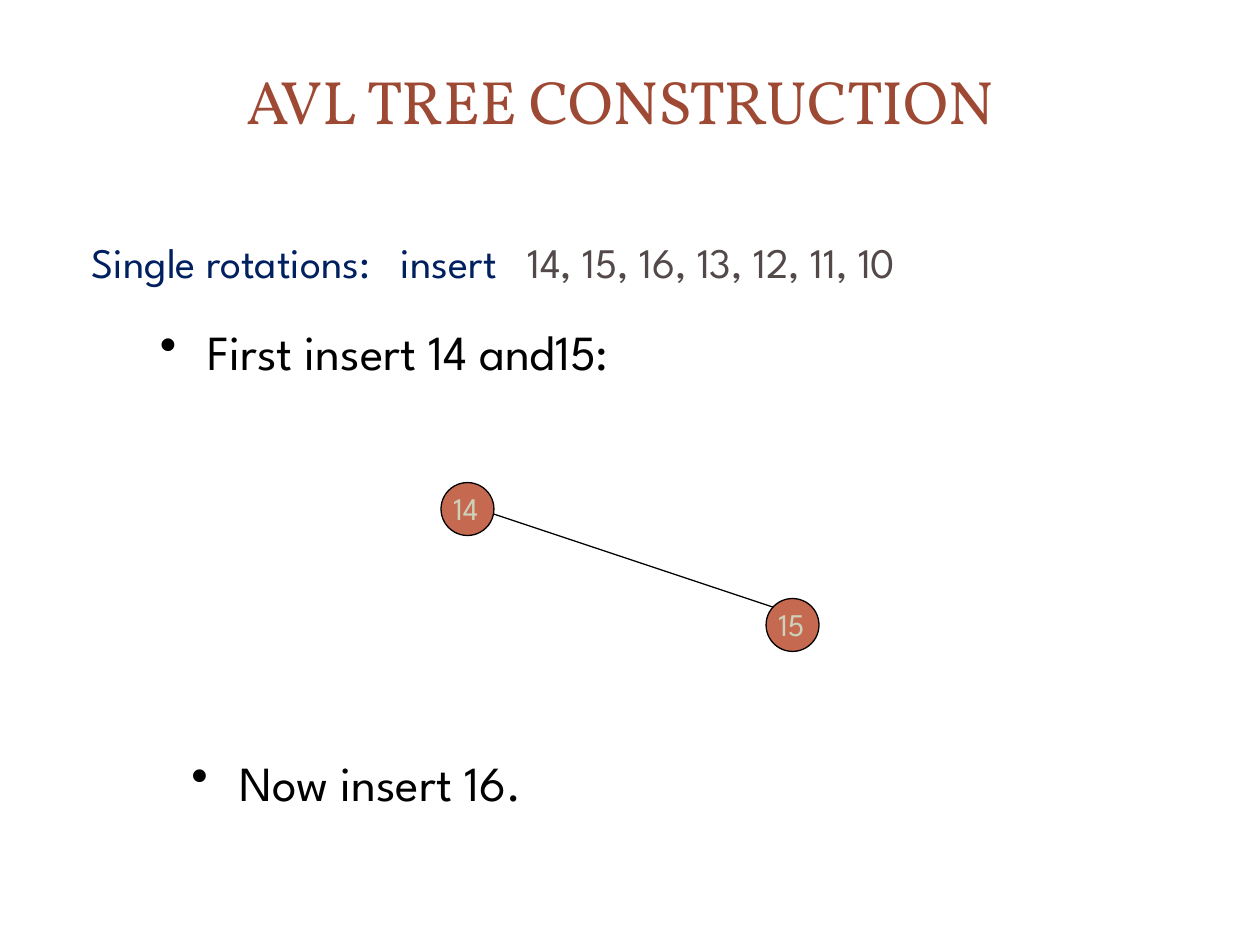
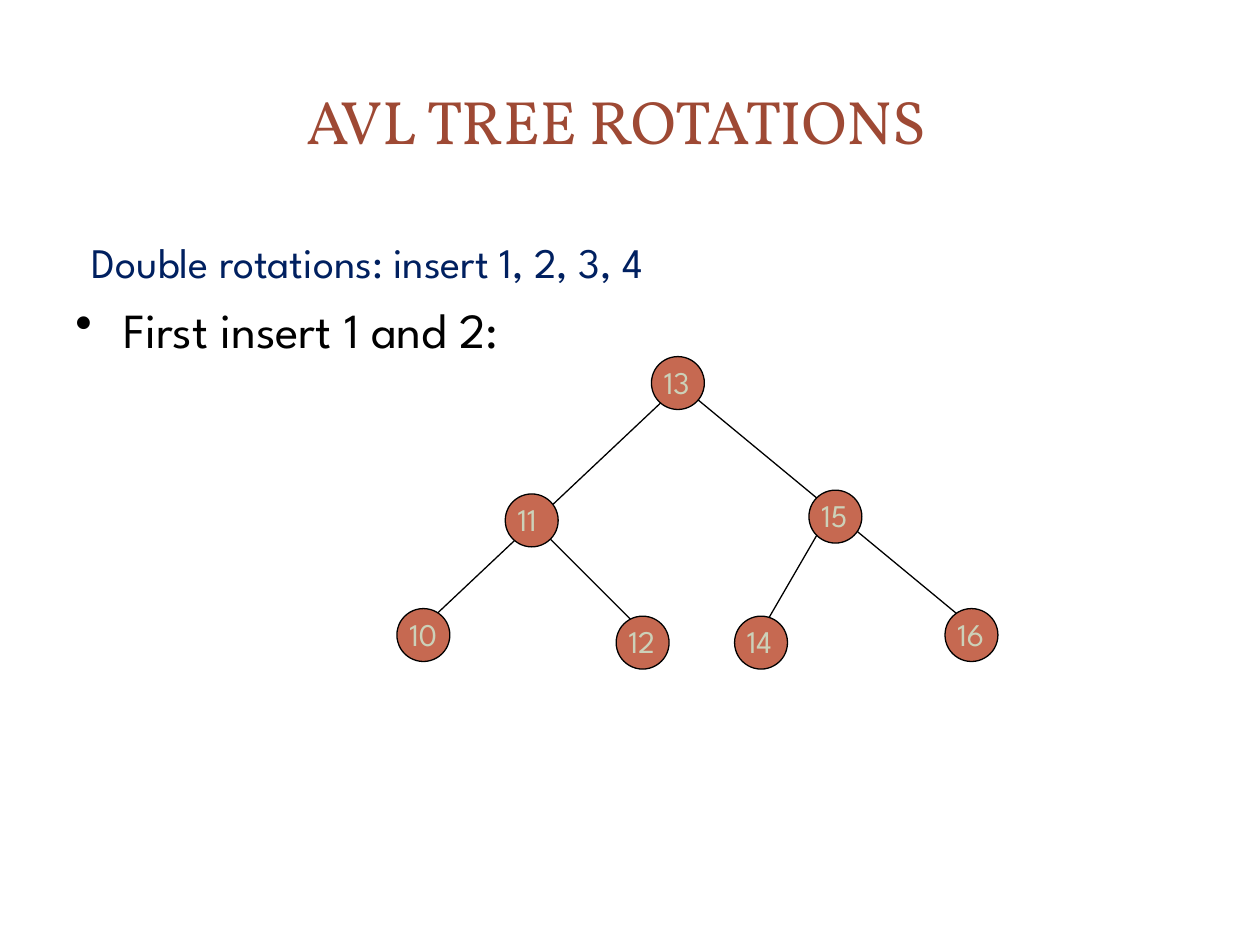
from dataclasses import dataclass

import pptx
import pptx.dml.color
import pptx.enum.shapes
import pptx.enum.text
import pptx.oxml.ns
import pptx.util
from lxml import etree

Inches = pptx.util.Inches
Pt = pptx.util.Pt
MSO_SHAPE = pptx.enum.shapes.MSO_SHAPE


@dataclass(frozen=True)
class Theme:
    title_font: str = "Vollkorn"
    text_font: str = "League Spartan"
    panel: str = "FFFFFF"
    title: str = "9E4934"
    heading: str = "002060"
    keys: str = "534949"
    bullet: str = "000000"
    line: str = "000000"
    node: str = "C66951"
    label: str = "CCD1B9"
    title_size: int = 35
    heading_size: int = 24
    bullet_size: int = 28
    label_size: int = 18
    line_width: float = 0.75
    wide_gap: float = 11.5


THEME = Theme()
NODE_SIZE = 0.42
TITLE_SIZE = (8.5, 1.25)
HEADING_BOX = (0.5, 1.83, 9.33, 0.67)
BULLET_HEIGHT = 0.67
LABEL_SIZE = (0.5, 0.4)

# Panels behind every slide, back to front: (preset, box, opacity in percent).
PANELS = [
    (MSO_SHAPE.ROUNDED_RECTANGLE, (0.1, 0.11, 9.8, 7.29), 100),
    (MSO_SHAPE.RECTANGLE, (0.3, 0.3, 9.4, 1.45), 83),
    (MSO_SHAPE.RECTANGLE, (0.41, 0.41, 9.17, 1.22), 100),
]
PANEL_ROUNDING = 0.02

# Heading parts are (text, colour) and are separated by a wide gap.
# Bullets are (text, left, top, width); nodes map a key to its left and top;
# edges are (start x, start y, end x, end y).
SLIDES = [
    {
        "title": ("AVL TREE CONSTRUCTION", 0.67, 0.17),
        "heading": [
            ("Single rotations:", THEME.heading),
            ("insert", THEME.heading),
            ("14, 15, 16, 13, 12, 11, 10", THEME.keys),
        ],
        "bullets": [
            ("First insert 14 and15:", 1.17, 2.5, 5),
            ("Now insert 16.", 1.42, 5.92, 4),
        ],
        "nodes": {14: (3.5, 3.83), 15: (6.08, 4.75)},
        "edges": [(3.92, 4.08, 6.17, 4.83)],
    },
    {
        "title": ("AVL TREE ROTATIONS", 0.64, 0.33),
        "heading": [("Double rotations: insert 1, 2, 3, 4", THEME.heading)],
        "bullets": [("First insert 1 and 2:", 0.5, 2.33, 4)],
        "nodes": {
            13: (5.17, 2.83),
            15: (6.42, 3.89),
            16: (7.5, 4.83),
            11: (4.01, 3.92),
            14: (5.83, 4.89),
            10: (3.15, 4.83),
            12: (4.89, 4.89),
        },
        "edges": [
            (4.17, 4.08, 5.17, 5.08),
            (6.58, 4.08, 6, 5.08),
            (3.33, 5, 5.39, 3.06),
            (5.33, 3, 7.75, 5),
        ],
    },
]


def rgb(colour):
    return pptx.dml.color.RGBColor.from_string(colour)


def add_child(parent, tag, **attributes):
    return etree.SubElement(parent, pptx.oxml.ns.qn(tag), attributes)


def place(shape, left, top, width, height):
    shape.left, shape.top = Inches(left), Inches(top)
    shape.width, shape.height = Inches(width), Inches(height)


def add_filled(slide, preset, box, colour):
    shape = slide.shapes.add_shape(preset, *map(Inches, box))
    shape.shadow.inherit = False
    shape.fill.solid()
    shape.fill.fore_color.rgb = rgb(colour)
    return shape


def add_panels(master, slide):
    """Draw the panels on a slide, then move them to the back of the master."""
    for depth, (preset, box, opacity) in enumerate(PANELS):
        panel = add_filled(slide, preset, box, THEME.panel)
        panel.line.fill.background()
        if preset == MSO_SHAPE.ROUNDED_RECTANGLE:
            panel.adjustments[0] = PANEL_ROUNDING
        if opacity < 100:
            colour = panel._element.spPr.find(".//" + pptx.oxml.ns.qn("a:srgbClr"))
            add_child(colour, "a:alpha", val=str(opacity * 1000))
        master.shapes._spTree.insert(2 + depth, panel._element)


def add_run(paragraph, text, size, colour, font=THEME.text_font):
    run = paragraph.add_run()
    run.text = text
    run.font.name = font
    run.font.size = Pt(size)
    run.font.color.rgb = rgb(colour)
    return run


def indent(paragraph, hanging, size, bullet=None):
    """Set a hanging indent, the space before, and a bullet or none."""
    paragraph.space_before = Pt(round(size * 0.2, 1))
    properties = paragraph._p.get_or_add_pPr()
    properties.set("marL", str(Inches(0.38)))
    properties.set("indent", str(-Inches(hanging)))
    if bullet:
        add_child(properties, "a:buFontTx")
        add_child(properties, "a:buChar", char=bullet)
    else:
        add_child(properties, "a:buNone")


def add_title(slide, text, left, top):
    title = slide.shapes.title
    place(title, left, top, *TITLE_SIZE)
    frame = title.text_frame
    frame.word_wrap = True
    frame.auto_size = pptx.enum.text.MSO_AUTO_SIZE.NONE
    frame.vertical_anchor = pptx.enum.text.MSO_ANCHOR.MIDDLE
    paragraph = frame.paragraphs[0]
    paragraph.alignment = pptx.enum.text.PP_ALIGN.CENTER
    add_run(paragraph, text, THEME.title_size, THEME.title, THEME.title_font)


def add_heading(slide, parts):
    heading = slide.placeholders[1]
    place(heading, *HEADING_BOX)
    frame = heading.text_frame
    frame.word_wrap = True
    frame.auto_size = pptx.enum.text.MSO_AUTO_SIZE.NONE
    paragraph = frame.paragraphs[0]
    indent(paragraph, 0.25, THEME.heading_size)
    for position, (text, colour) in enumerate(parts):
        if position:
            gap = add_run(paragraph, " ", THEME.heading_size, colour)
            gap.font._element.set("spc", str(round(THEME.wide_gap * 100)))
        add_run(paragraph, text, THEME.heading_size, colour)


def add_bullet(slide, text, left, top, width):
    box = slide.shapes.add_textbox(
        Inches(left), Inches(top), Inches(width), Inches(BULLET_HEIGHT)
    )
    box.text_frame.word_wrap = True
    paragraph = box.text_frame.paragraphs[0]
    indent(paragraph, 0.38, THEME.bullet_size, "•")
    add_run(paragraph, text, THEME.bullet_size, THEME.bullet)


def add_edge(slide, *ends):
    edge = slide.shapes.add_connector(
        pptx.enum.shapes.MSO_CONNECTOR.STRAIGHT, *map(Inches, ends)
    )
    edge.line.color.rgb = rgb(THEME.line)
    edge.line.width = Pt(THEME.line_width)
    add_child(edge._element.spPr, "a:effectLst")


def add_node(slide, key, left, top):
    box = (left, top, NODE_SIZE, NODE_SIZE)
    node = add_filled(slide, MSO_SHAPE.OVAL, box, THEME.node)
    node.line.color.rgb = rgb(THEME.line)
    node.line.width = Pt(THEME.line_width)

    label = slide.shapes.add_textbox(
        Inches(left), Inches(top), *map(Inches, LABEL_SIZE)
    )
    label.text_frame.word_wrap = True
    label.text_frame.auto_size = pptx.enum.text.MSO_AUTO_SIZE.SHAPE_TO_FIT_TEXT
    add_run(label.text_frame.paragraphs[0], str(key), THEME.label_size, THEME.label)


def main():
    deck = pptx.Presentation()
    deck.slide_width, deck.slide_height = Inches(10), Inches(7.5)
    for content in SLIDES:
        slide = deck.slides.add_slide(deck.slide_layouts[1])
        add_title(slide, *content["title"])
        add_heading(slide, content["heading"])
        for bullet in content["bullets"]:
            add_bullet(slide, *bullet)
        for edge in content["edges"]:
            add_edge(slide, *edge)
        for key, corner in content["nodes"].items():
            add_node(slide, key, *corner)
    add_panels(deck.slide_master, deck.slides[0])
    deck.save("out.pptx")


if __name__ == "__main__":
    main()
